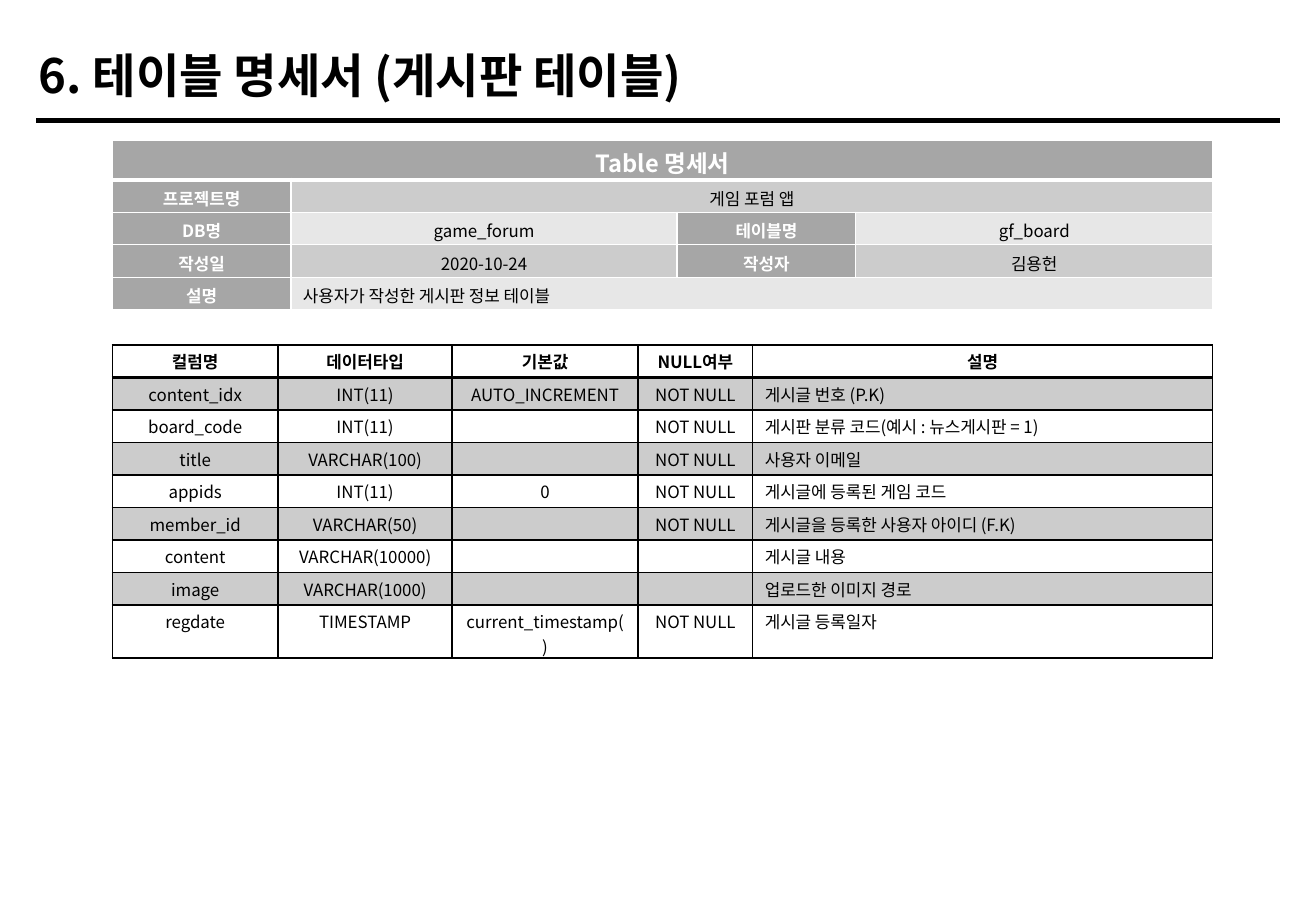
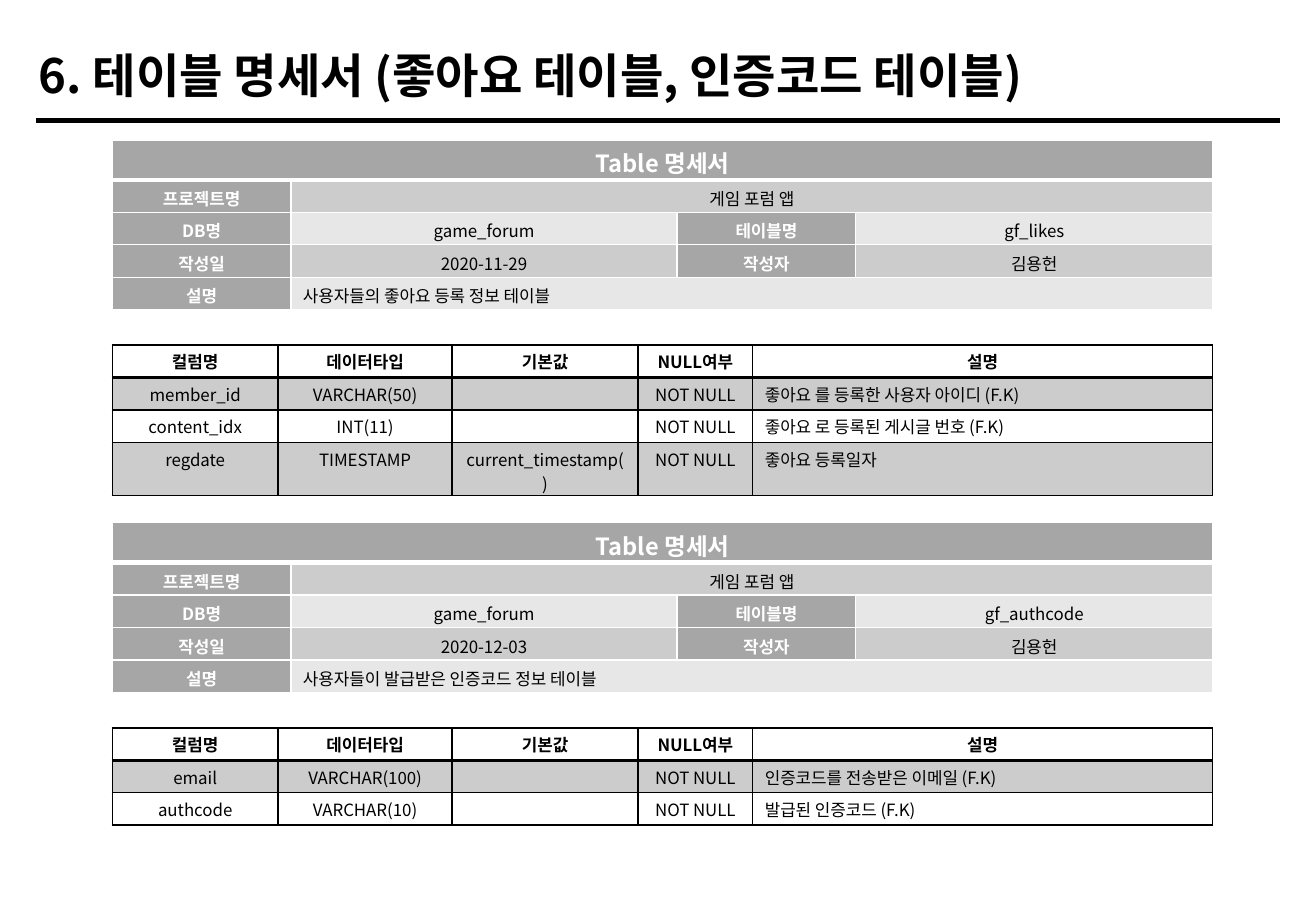
from lxml import etree
from pptx import Presentation
from pptx.dml.color import RGBColor
from pptx.enum.shapes import MSO_CONNECTOR
from pptx.enum.text import MSO_ANCHOR, PP_ALIGN
from pptx.oxml.ns import qn
from pptx.util import Pt

LEFT, CENTER = PP_ALIGN.LEFT, PP_ALIGN.CENTER
TOP, MIDDLE = MSO_ANCHOR.TOP, MSO_ANCHOR.MIDDLE
STRAIGHT = MSO_CONNECTOR.STRAIGHT

FONT = "Noto Sans CJK KR"
COLORS = {"black": "000000", "white": "FFFFFF", "label": "A6A6A6",
          "dark band": "CCCCCC", "light band": "E7E7E7"}

SLIDE_SIZE = (780, 540)
TITLE_BOX = (15.84, 22, 750, 44.6)
RULE_START, RULE_END, RULE_Y = 21.6, 758.8, 71.3

TABLE_LEFT = 66.6
SPEC_TOPS = (83, 309.8)
COLUMNS_OFFSET = 121.6
INFO_WIDTHS = (105.8, 229, 105.8, 211.7)
COLUMN_WIDTHS = (98.2, 103.2, 110.2, 68, 272.5)
HEADING_HEIGHT, ROW_HEIGHT = 23.6, 19.25
CELL_MARGIN_TOP = 2.6

INFO_HEADING = "Table 명세서"
COLUMN_HEADINGS = ("컬럼명", "데이터타입", "기본값", "NULL여부", "설명")

SLIDES = [
    ("6. 테이블 명세서 (게시판 테이블)", [
        {"table": "gf_board", "date": "2020-10-24",
         "about": "사용자가 작성한 게시판 정보 테이블",
         "columns": [
             ("content_idx", "INT(11)", "AUTO_INCREMENT", "NOT NULL", "게시글 번호 (P.K)"),
             ("board_code", "INT(11)", "", "NOT NULL",
              "게시판 분류 코드(예시 : 뉴스게시판 = 1)"),
             ("title", "VARCHAR(100)", "", "NOT NULL", "사용자 이메일"),
             ("appids", "INT(11)", "0", "NOT NULL", "게시글에 등록된 게임 코드"),
             ("member_id", "VARCHAR(50)", "", "NOT NULL", "게시글을 등록한 사용자 아이디 (F.K)"),
             ("content", "VARCHAR(10000)", "", "", "게시글 내용"),
             ("image", "VARCHAR(1000)", "", "", "업로드한 이미지 경로"),
             ("regdate", "TIMESTAMP", "current_timestamp()", "NOT NULL", "게시글 등록일자"),
         ]},
    ]),
    ("6. 테이블 명세서 (좋아요 테이블, 인증코드 테이블)", [
        {"table": "gf_likes", "date": "2020-11-29",
         "about": "사용자들의 좋아요 등록 정보 테이블",
         "columns": [
             ("member_id", "VARCHAR(50)", "", "NOT NULL", "좋아요 를 등록한 사용자 아이디 (F.K)"),
             ("content_idx", "INT(11)", "", "NOT NULL", "좋아요 로 등록된 게시글 번호 (F.K)"),
             ("regdate", "TIMESTAMP", "current_timestamp()", "NOT NULL", "좋아요 등록일자"),
         ]},
        {"table": "gf_authcode", "date": "2020-12-03",
         "about": "사용자들이 발급받은 인증코드 정보 테이블",
         "columns": [
             ("email", "VARCHAR(100)", "", "NOT NULL", "인증코드를 전송받은 이메일 (F.K)"),
             ("authcode", "VARCHAR(10)", "", "NOT NULL", "발급된 인증코드 (F.K)"),
         ]},
    ]),
]


def rgb(color):
    return RGBColor.from_string(COLORS[color])


def write(frame, text, size=10, color="black", bold=False, align=LEFT):
    paragraph = frame.paragraphs[0]
    paragraph.alignment = align
    paragraph.line_spacing = 1.0
    if not text:
        # An empty cell needs its size too, or its row grows.
        etree.SubElement(paragraph._p, qn("a:endParaRPr"), sz=str(size * 100))
        return
    run = paragraph.add_run()
    run.text = text
    run.font.size, run.font.bold, run.font.name = Pt(size), bold, FONT
    run.font.color.rgb = rgb(color)
    etree.SubElement(run.font._element, qn("a:ea"), typeface=FONT)


def set_borders(cell, color, top=1, bottom=1):
    properties = cell._tc.get_or_add_tcPr()
    widths = {"lnL": 1, "lnR": 1, "lnT": top, "lnB": bottom}
    for position, (side, width) in enumerate(widths.items()):
        line = etree.Element(qn(f"a:{side}"), w=str(Pt(width)))
        fill = etree.SubElement(line, qn("a:solidFill"))
        etree.SubElement(fill, qn("a:srgbClr"), val=COLORS[color])
        properties.insert(position, line)


def format_cell(cell, text, fill=None, anchor=TOP, border="black", top=1, bottom=1, **style):
    cell.vertical_anchor = anchor
    cell.margin_top, cell.margin_bottom = Pt(CELL_MARGIN_TOP), Pt(0)
    if fill:
        cell.fill.solid()
        cell.fill.fore_color.rgb = rgb(fill)
    else:
        cell.fill.background()
    set_borders(cell, border, top, bottom)
    write(cell.text_frame, text, **style)


def add_grid(slide, top, widths, heights):
    frame = slide.shapes.add_table(len(heights), len(widths), Pt(TABLE_LEFT), Pt(top),
                                   Pt(sum(widths)), Pt(sum(heights)))
    table = frame.table
    table.first_row = table.horz_banding = False
    for column, width in zip(table.columns, widths):
        column.width = Pt(width)
    for row, height in zip(table.rows, heights):
        row.height = Pt(height)
    return table


def add_info(slide, top, spec):
    rows = [
        (INFO_HEADING, "", "", ""),
        ("프로젝트명", "게임 포럼 앱", "", ""),
        ("DB명", "game_forum", "테이블명", spec["table"]),
        ("작성일", spec["date"], "작성자", "김용헌"),
        ("설명", spec["about"], "", ""),
    ]
    last = len(rows) - 1
    table = add_grid(slide, top, INFO_WIDTHS, [HEADING_HEIGHT] + [ROW_HEIGHT] * last)
    for r, row in enumerate(rows):
        band = "dark band" if r % 2 else "light band"
        for c, text in enumerate(row):
            is_label = r == 0 or (c % 2 == 0 and text != "")
            format_cell(table.cell(r, c), text, fill="label" if is_label else band,
                        anchor=MIDDLE, border="white",
                        top=3 if r == 1 else 1, bottom=3 if r == 0 else 1,
                        size=14 if r == 0 else 10, color="white" if is_label else "black",
                        bold=is_label, align=LEFT if (r, c) == (last, 1) else CENTER)
    for r, first in ((0, 0), (1, 1), (last, 1)):
        table.cell(r, first).merge(table.cell(r, 3))


def add_columns(slide, top, columns):
    rows = [COLUMN_HEADINGS, *columns]
    table = add_grid(slide, top, COLUMN_WIDTHS, [ROW_HEIGHT] * len(rows))
    for r, row in enumerate(rows):
        for c, text in enumerate(row):
            format_cell(table.cell(r, c), text, fill="dark band" if r % 2 else None,
                        top=2 if r == 1 else 1, bottom=2 if r == 0 else 1, bold=r == 0,
                        align=LEFT if r and c == len(row) - 1 else CENTER)


def add_title(slide, text):
    title = slide.shapes.title
    title.left, title.top, title.width, title.height = map(Pt, TITLE_BOX)
    title.text_frame.vertical_anchor = MIDDLE
    write(title.text_frame, text, size=28, bold=True)


def add_rule(slide):
    rule = slide.shapes.add_connector(STRAIGHT, Pt(RULE_START), Pt(RULE_Y),
                                      Pt(RULE_END), Pt(RULE_Y))
    rule.line.color.rgb = rgb("black")
    rule.line.width = Pt(3)
    etree.SubElement(rule.element.spPr, qn("a:effectLst"))


def main():
    deck = Presentation()
    deck.slide_width, deck.slide_height = map(Pt, SLIDE_SIZE)
    title_only = deck.slide_layouts[5]
    for title, specs in SLIDES:
        slide = deck.slides.add_slide(title_only)
        add_rule(slide)
        add_title(slide, title)
        for top, spec in zip(SPEC_TOPS, specs):
            add_info(slide, top, spec)
            add_columns(slide, top + COLUMNS_OFFSET, spec["columns"])
    deck.save("out.pptx")


if __name__ == "__main__":
    main()
